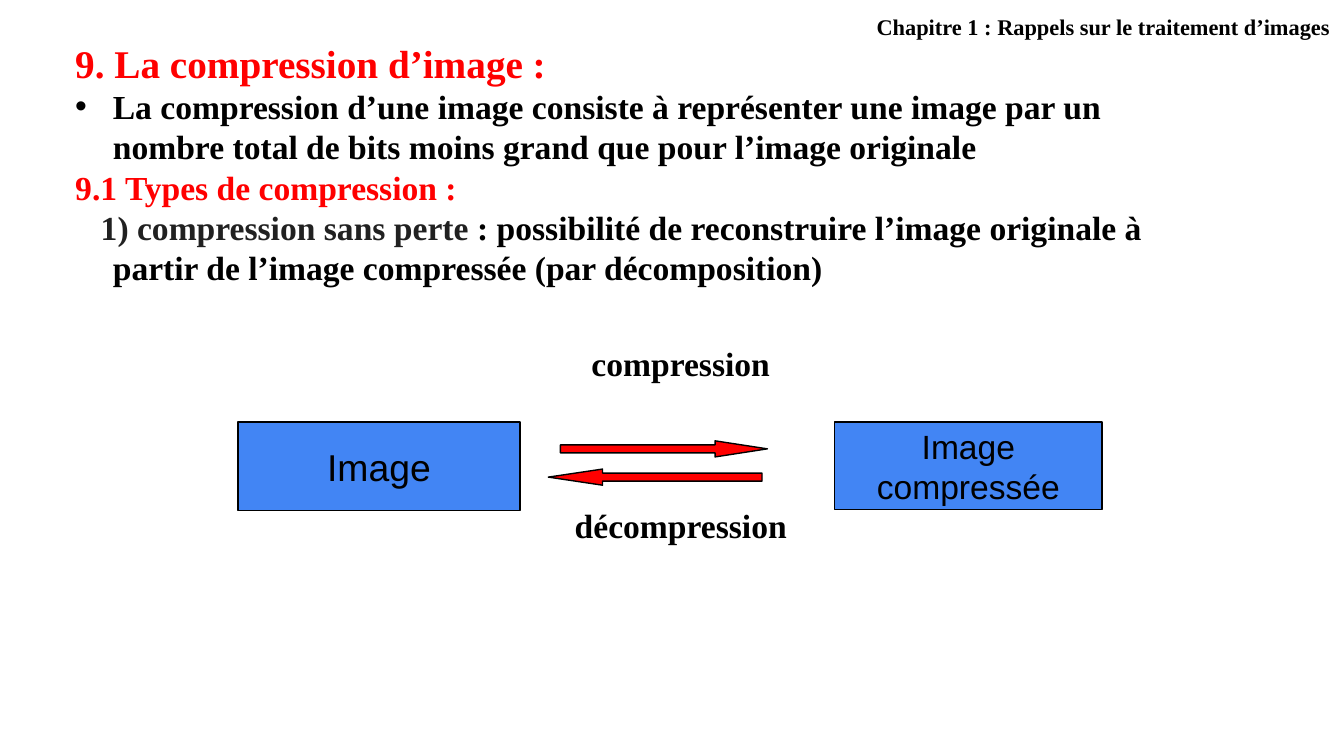
from typing import NamedTuple

from lxml.etree import SubElement
from pptx import Presentation
from pptx.dml.color import RGBColor
from pptx.enum.shapes import MSO_SHAPE as Shape
from pptx.enum.text import MSO_ANCHOR as Anchor, PP_ALIGN as Align
from pptx.oxml.ns import qn
from pptx.util import Inches, Pt

BLACK = RGBColor(0x00, 0x00, 0x00)
DARK = RGBColor(0x21, 0x21, 0x21)
RED = RGBColor(0xFF, 0x00, 0x00)
BLUE = RGBColor(0x42, 0x85, 0xF4)
SERIF = "Times New Roman"
SANS = "Arial"


class Box(NamedTuple):
    left: float
    top: float
    width: float
    height: float


class Run(NamedTuple):
    text: str
    color: RGBColor = BLACK


class Line(NamedTuple):
    runs: list[Run]
    size: float = 18
    first_indent: float = -0.28
    bullet: str = ""


class Block(NamedTuple):
    text: str
    box: Box
    size: float


class Arrow(NamedTuple):
    kind: Shape
    box: Box
    head: float


class Label(NamedTuple):
    text: str
    box: Box


LINES = [
    Line([Run("9. La compression d’image :", RED)], size=21),
    Line([Run("La compression d’une image consiste à représenter une image par un "
              "nombre total de bits moins grand que pour l’image originale")], bullet="•"),
    Line([Run("9.1 Types de compression :", RED)]),
    Line([Run("1) compression sans perte", DARK),
          Run(" : possibilité de reconstruire l’image originale à partir de "
              "l’image compressée (par décomposition)")], first_indent=-0.09),
]
BLOCKS = [
    Block("Image", Box(1.77, 3.14, 2.1, 0.66), 20),
    Block("Image compressée", Box(6.21, 3.14, 1.99, 0.65), 18),
]
ARROWS = [
    Arrow(Shape.RIGHT_ARROW, Box(4.17, 3.28, 1.54, 0.12), 3.24),
    Arrow(Shape.LEFT_ARROW, Box(4.08, 3.49, 1.59, 0.12), 3.36),
]
LABELS = [
    Label("décompression", Box(4.17, 3.71, 1.79, 0.73)),
    Label("compression", Box(4.17, 2.5, 1.79, 0.63)),
]


def inches(box: Box) -> list[int]:
    return [Inches(v) for v in box]


def set_margins(tf, x: float, y: float) -> None:
    tf.word_wrap = True
    tf.margin_left = tf.margin_right = Inches(x)
    tf.margin_top = tf.margin_bottom = Inches(y)


def style_run(r, size: float, color: RGBColor = BLACK, name: str = SERIF, bold: bool = True) -> None:
    r.font.size = Pt(size)
    r.font.color.rgb = color
    r.font.name = name
    r.font.bold = bold


def set_text(tf, text: str, size: float, align: Align, name: str = SERIF, bold: bool = True) -> None:
    tf.text = text
    p = tf.paragraphs[0]
    p.alignment = align
    style_run(p.runs[0], size, name=name, bold=bold)


def add_body(s, box: Box, lines: list[Line]) -> None:
    tf = s.shapes.add_textbox(*inches(box)).text_frame
    set_margins(tf, 0.07, 0.04)
    for i, line in enumerate(lines):
        p = tf.add_paragraph() if i else tf.paragraphs[0]
        pPr = p._p.get_or_add_pPr()
        pPr.set("marL", str(Inches(0.28)))
        pPr.set("indent", str(Inches(line.first_indent)))
        if line.bullet:
            SubElement(pPr, qn("a:buFont"), typeface=SANS)
            SubElement(pPr, qn("a:buChar"), char=line.bullet)
        else:
            SubElement(pPr, qn("a:buNone"))
        for run in line.runs:
            r = p.add_run()
            r.text = run.text
            style_run(r, line.size, run.color)


def add_filled(s, kind: Shape, box: Box, fill: RGBColor):
    sp = s.shapes.add_shape(kind, *inches(box))
    sp.shadow.inherit = False
    sp.fill.solid()
    sp.fill.fore_color.rgb = fill
    sp.line.color.rgb = BLACK
    sp.line.width = Pt(0.75)
    return sp


def add_block(s, block: Block) -> None:
    tf = add_filled(s, Shape.RECTANGLE, block.box, BLUE).text_frame
    set_margins(tf, 0.07, 0.04)
    tf.vertical_anchor = Anchor.MIDDLE
    set_text(tf, block.text, block.size, Align.CENTER, SANS, False)


def add_arrow(s, arrow: Arrow) -> None:
    sp = add_filled(s, arrow.kind, arrow.box, RED)
    sp.adjustments[0] = 0.5
    sp.adjustments[1] = arrow.head


def add_label(s, label: Label) -> None:
    tf = s.shapes.add_textbox(*inches(label.box)).text_frame
    tf.word_wrap = True
    set_text(tf, label.text, 18, Align.CENTER)


def set_title(s, text: str, box: Box) -> None:
    title = s.shapes.title
    title.left, title.top, title.width, title.height = inches(box)
    tf = title.text_frame
    set_margins(tf, 0.1, 0.1)
    tf.vertical_anchor = Anchor.TOP
    set_text(tf, text, 12, Align.RIGHT)


def main() -> None:
    prs = Presentation()
    prs.slide_width = Inches(10)
    prs.slide_height = prs.slide_width * 9 // 16
    s = prs.slides.add_slide(prs.slide_layouts[5])
    set_title(s, "Chapitre 1 : Rappels sur le traitement d’images", Box(5.96, 0, 4.04, 0.34))
    add_body(s, Box(0.49, 0.25, 8.26, 1.94), LINES)
    for block in BLOCKS:
        add_block(s, block)
    for arrow in ARROWS:
        add_arrow(s, arrow)
    for label in LABELS:
        add_label(s, label)
    prs.save("out.pptx")


if __name__ == "__main__":
    main()
